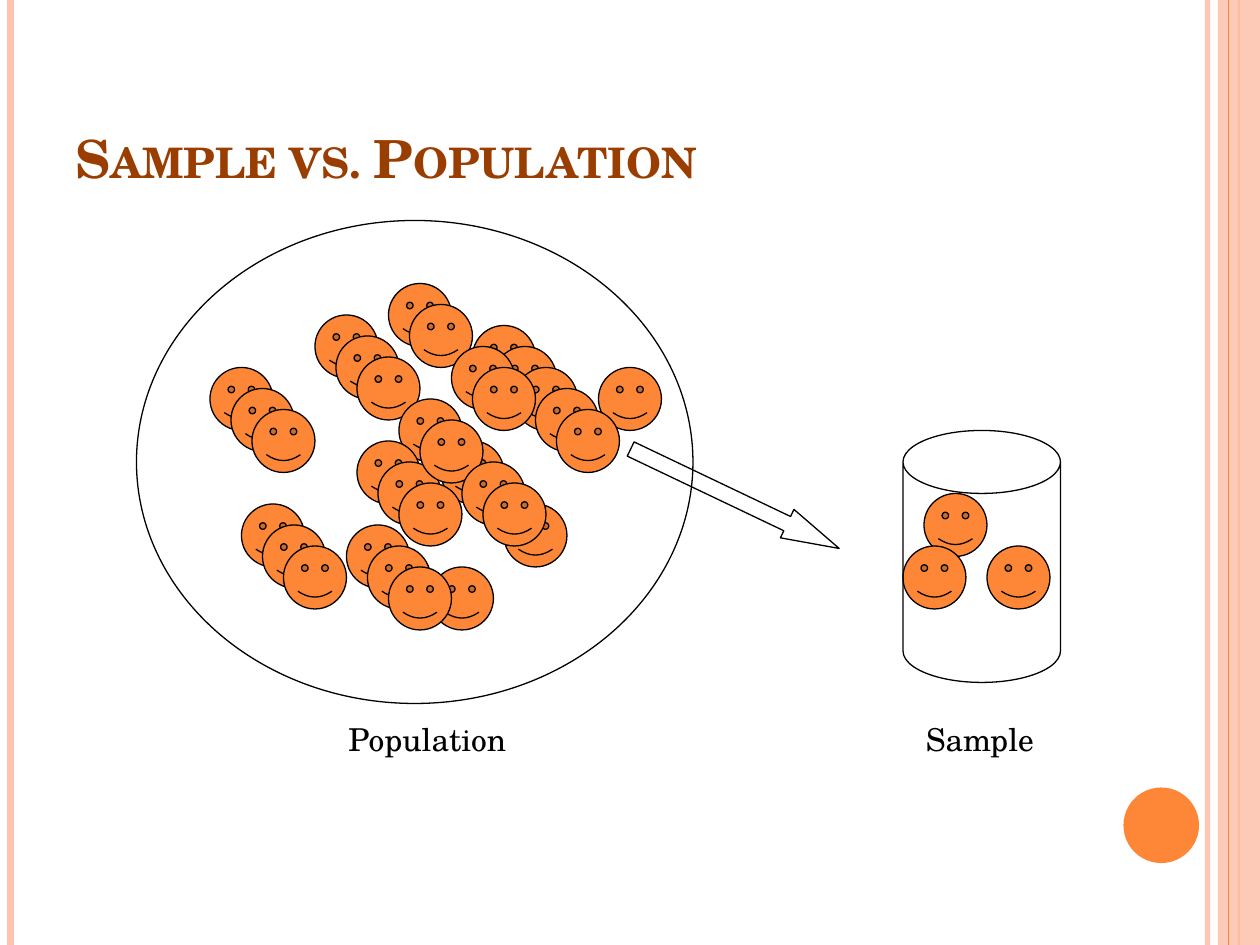
from lxml.etree import SubElement
from pptx import Presentation
from pptx.dml.color import RGBColor
from pptx.enum.shapes import MSO_CONNECTOR, MSO_SHAPE
from pptx.enum.text import MSO_ANCHOR
from pptx.oxml.ns import qn
from pptx.util import Inches, Pt

ORANGE = RGBColor(0xFE, 0x86, 0x37)
PEACH = RGBColor(0xFE, 0xC3, 0xAE)
BROWN = RGBColor(0x9A, 0x3D, 0x01)
BLACK = RGBColor(0, 0, 0)

# The slide is a grid of 120 columns by 90 rows, twelve to the inch
CELL = Inches(1) // 12
COLUMNS, ROWS = 120, 90
FACE = 6  # face diameter in cells
STEP = 2  # diagonal shift between faces of a chain

presentation = Presentation()
presentation.slide_width = COLUMNS * CELL
presentation.slide_height = ROWS * CELL
slide = presentation.slides.add_slide(presentation.slide_layouts[6])


def add_figure(kind, box, fill=None, line=BLACK, adjustments=()):
    shape = slide.shapes.add_shape(kind, *(int(cells * CELL) for cells in box))
    shape.shadow.inherit = False
    for index, value in enumerate(adjustments):
        shape.adjustments[index] = value
    if fill is None:
        shape.fill.background()
    else:
        shape.fill.solid()
        shape.fill.fore_color.rgb = fill
    if line is None:
        shape.line.fill.background()
    else:
        shape.line.color.rgb = line
        shape.line.width = Pt(0.75)
    return shape


def set_opacity(properties, percent):
    color = next(properties.iter(qn("a:srgbClr")))
    SubElement(color, qn("a:alpha"), val=str(percent * 1000))


# Side stripes, band and corner disc: (column, colour, width, opacity)
stripes = [(115, PEACH, 3, 93), (1, PEACH, 4.5, 100), (118, ORANGE, 1.5, 100), (117, ORANGE, 0.75, 100)]
for number, (column, color, width, opacity) in enumerate(stripes):
    if number == 3:
        band = add_figure(MSO_SHAPE.RECTANGLE, (116, 0, 4, ROWS), PEACH, None)
        set_opacity(band.fill._xPr, 87)
    stripe = slide.shapes.add_connector(
        MSO_CONNECTOR.STRAIGHT, column * CELL, 0, column * CELL, ROWS * CELL)
    stripe.line.color.rgb = color
    stripe.line.width = Pt(width)
    properties = stripe._element.spPr
    set_opacity(properties, opacity)
    SubElement(properties, qn("a:effectLst"))
add_figure(MSO_SHAPE.OVAL, (107, 75, 7.2, 7.2), ORANGE, None)

# Title and labels: (text, box, anchor, font format)
label_format = {"size": Pt(18), "bold": False}
texts = [
    ("Sample vs. Population", (6, 3.6, 98, 15), MSO_ANCHOR.BOTTOM, {"size": Pt(30), "bold": True}),
    ("Population", (32, 68, 22, 4.8), MSO_ANCHOR.TOP, label_format),
    ("Sample", (87, 68, 13, 4.8), MSO_ANCHOR.TOP, label_format),
]
for text, box, anchor, font_format in texts:
    frame = slide.shapes.add_textbox(*(int(cells * CELL) for cells in box)).text_frame
    frame.word_wrap = True
    frame.vertical_anchor = anchor
    run = frame.paragraphs[0].add_run()
    run.text = text
    run.font.name = "TeX Gyre Schola"
    run.font.color.rgb = BROWN if font_format["bold"] else BLACK
    if font_format["bold"]:
        run.font._element.set("cap", "small")
    for name, value in font_format.items():
        setattr(run.font, name, value)

# Population outline
add_figure(MSO_SHAPE.OVAL, (13, 21, 53, 46))

# Faces in diagonal chains, back to front: (column, row, count)
population = [
    (30, 30, 3), (37, 27, 2), (38, 38, 1), (57, 35, 1), (45, 31, 5), (48, 48, 1),
    (41, 54, 1), (23, 48, 3), (34, 42, 2), (20, 35, 3), (33, 50, 3), (42, 42, 1),
    (38, 46, 1), (40, 40, 1), (43, 33, 2), (44, 44, 2),
]
sample = [(88, 47, 1), (94, 52, 1), (86, 52, 1)]
for column, row, count in population + sample:
    for shift in range(0, count * STEP, STEP):
        add_figure(MSO_SHAPE.SMILEY_FACE, (column + shift, row + shift, FACE, FACE),
                   ORANGE, adjustments=[0.047])

# Arrow from population to sample, and the sample can
arrow = add_figure(MSO_SHAPE.LEFT_ARROW, (59, 46, 22, 3), adjustments=[0.5, 1.83])
arrow.rotation = 205.5
add_figure(MSO_SHAPE.CAN, (86, 41, 15, 24), adjustments=[0.4])

presentation.save("out.pptx")
